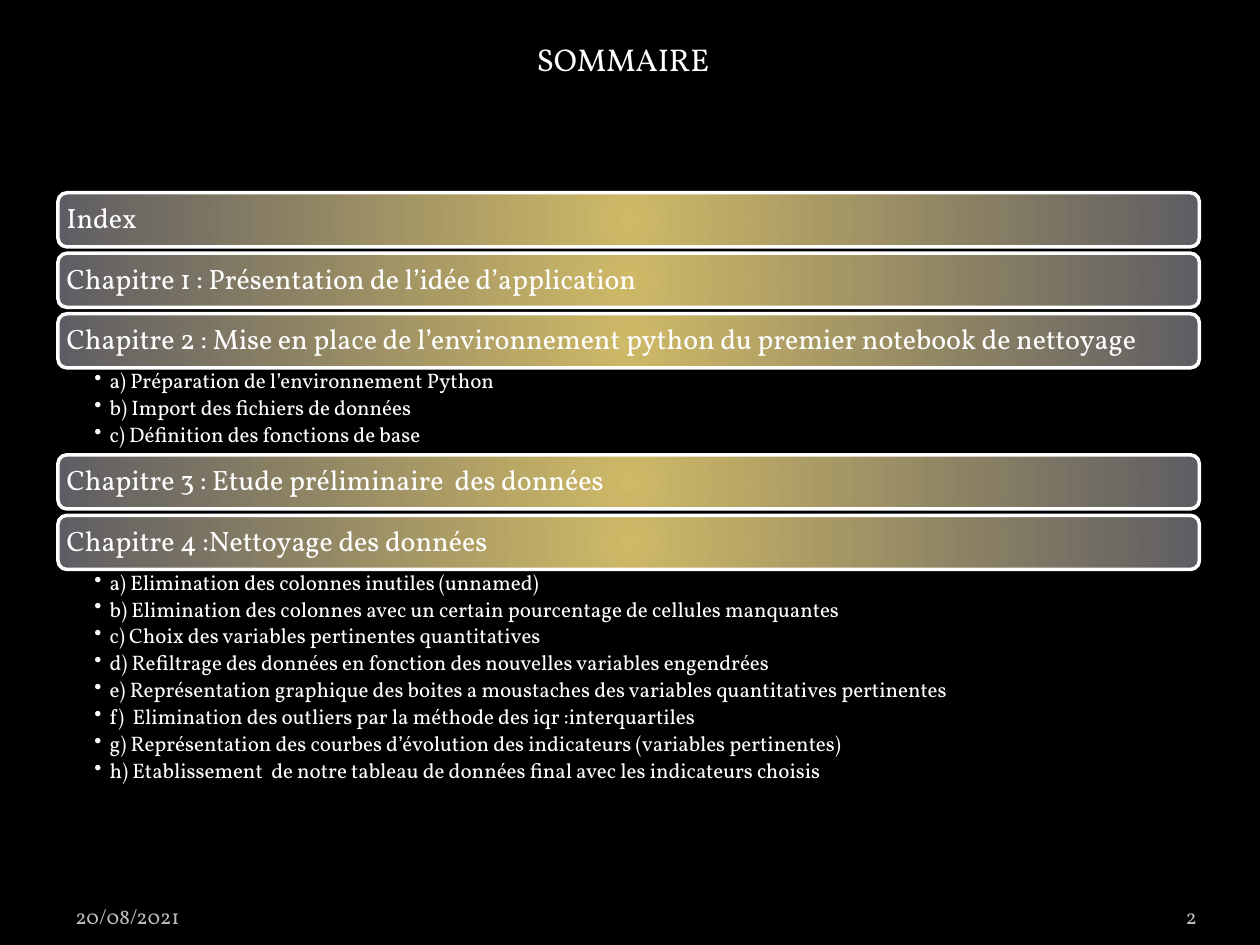
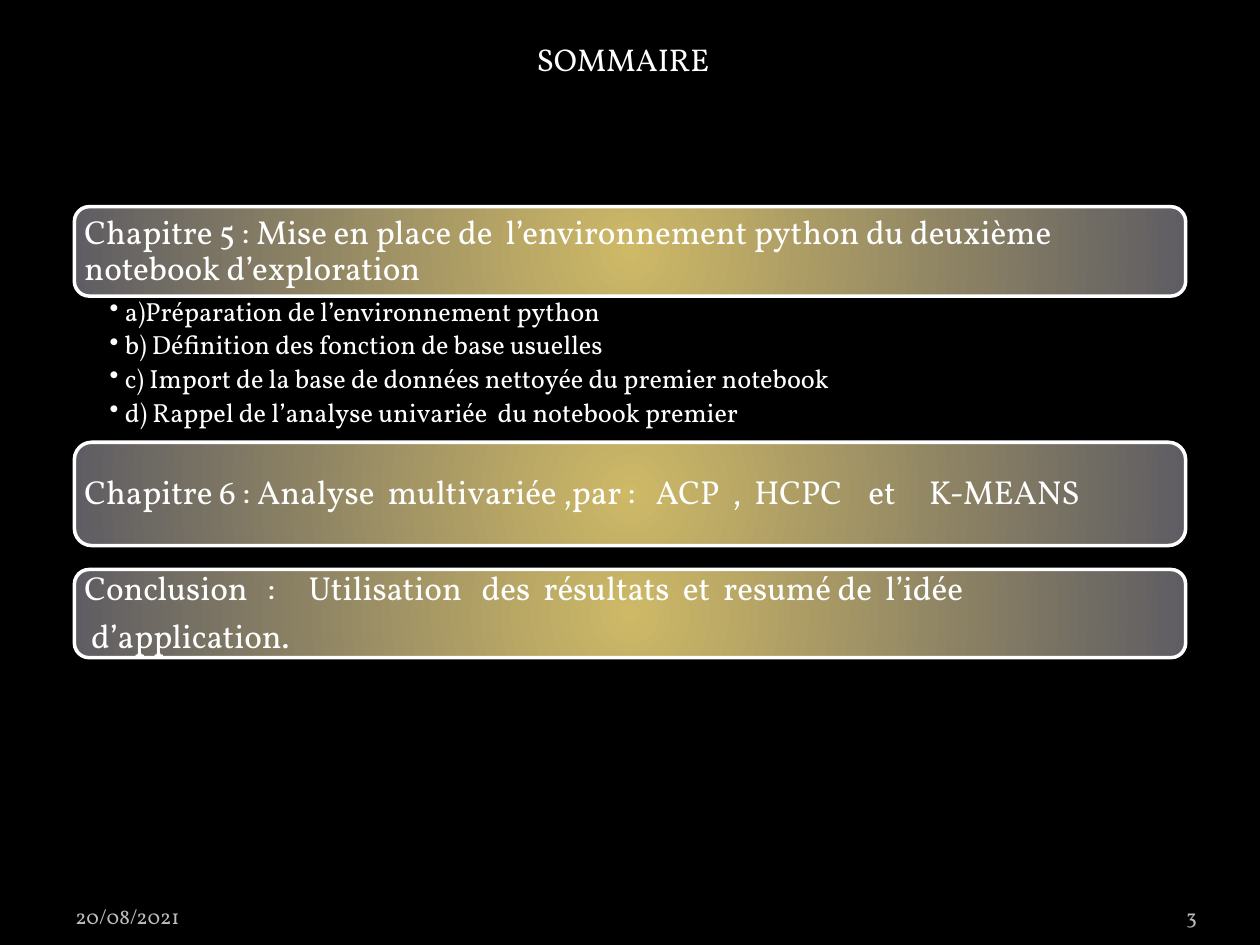
import pptx
import pptx.dml.color
import pptx.enum.dml
import pptx.enum.shapes
import pptx.enum.text
import pptx.oxml
import pptx.oxml.ns
import pptx.util

Inches = pptx.util.Inches
Pt = pptx.util.Pt
ANCHOR = pptx.enum.text.MSO_ANCHOR
ALIGN = pptx.enum.text.PP_ALIGN

FONT = "Vollkorn"
COLORS = {
    "background": "000000",
    "text": "FFFFFF",
    "footer": "BDBDBD",
    "bar_center": "CEB966",
    "bar_edge": "5F5D63",
}
CORNER = 0.1667  # corner radius of a bar, as a share of its height
DATE = "20/08/2021"

# Each entry is the text of a chapter bar and the list of its sections.
OUTLINES = [
    {
        "number": 2, "left": 0.46, "top": 1.53, "width": 9.06, "gap": 0.05,
        "bar_size": 16, "bar_margin": 0.07,
        "section_size": 12, "section_margin": 0.29, "section_pitch": 0.23,
        "chapters": [
            (0.43, "Index", []),
            (0.43, "Chapitre 1 : Présentation de l’idée d’application", []),
            (0.43, "Chapitre 2 : Mise en place de l’environnement python "
                   "du premier notebook de nettoyage", [
                "a) Préparation de l’environnement Python",
                "b) Import des fichiers de données",
                "c) Définition des fonctions de base",
            ]),
            (0.43, "Chapitre 3 : Etude préliminaire  des données", []),
            (0.43, "Chapitre 4 :Nettoyage des données", [
                "a) Elimination des colonnes inutiles (unnamed)",
                "b) Elimination des colonnes avec un certain pourcentage de cellules manquantes",
                "c) Choix des variables pertinentes quantitatives",
                "d) Refiltrage des données en fonction des nouvelles variables engendrées",
                "e) Représentation graphique des boites a moustaches des variables "
                "quantitatives pertinentes",
                "f)  Elimination des outliers par la méthode des iqr :interquartiles",
                "g) Représentation des courbes d’évolution des indicateurs (variables pertinentes)",
                "h) Etablissement  de notre tableau de données final avec les indicateurs choisis",
            ]),
        ],
    },
    {
        "number": 3, "left": 0.59, "top": 1.64, "width": 8.82, "gap": 0.19,
        "bar_size": 19, "bar_margin": 0.08,
        "section_size": 15, "section_margin": 0.28, "section_pitch": 0.29,
        "chapters": [
            (0.71, "Chapitre 5 : Mise en place de  l’environnement python "
                   "du deuxième notebook d’exploration", [
                "a)Préparation de l’environnement python",
                "b) Définition des fonction de base usuelles",
                "c) Import de la base de données nettoyée du premier notebook",
                "d) Rappel de l’analyse univariée  du notebook premier",
            ]),
            (0.82, "Chapitre 6 : Analyse  multivariée ,par :   ACP  ,  HCPC    et     K-MEANS", []),
            (0.7, "Conclusion   :     Utilisation   des  résultats  et  resumé de  l’idée\n"
                  " d’application.", []),
        ],
    },
]


def rgb(name):
    return pptx.dml.color.RGBColor.from_string(COLORS[name])


def xml(content):
    return pptx.oxml.parse_xml(content.replace("/>", f" {pptx.oxml.ns.nsdecls('a')}/>", 1)
                               if content.endswith("/>") and content.count("<") == 1
                               else content.replace(">", f" {pptx.oxml.ns.nsdecls('a')}>", 1))


class OutlineDeck:
    """Holds the shared style and the slide being filled."""

    def __init__(self):
        self.presentation = pptx.Presentation()
        self.presentation.slide_width = Inches(10)
        self.presentation.slide_height = Inches(7.5)
        fill = self.presentation.slide_master.background.fill
        fill.solid()
        fill.fore_color.rgb = rgb("background")
        self.slide = None

    def new_slide(self, number):
        self.slide = self.presentation.slides.add_slide(self.presentation.slide_layouts[6])
        self.footer(0.5, 2.33, DATE, ALIGN.LEFT, 0.1)
        self.footer(8.67, 0.83, str(number), ALIGN.RIGHT, 0)

    def text_box(self, left, top, width, height):
        box = self.slide.shapes.add_textbox(
            Inches(left), Inches(top), Inches(width), Inches(height))
        box.text_frame.word_wrap = True
        return box.text_frame

    def margins(self, frame, left, top, right, bottom):
        frame.margin_left, frame.margin_top = Inches(left), Inches(top)
        frame.margin_right, frame.margin_bottom = Inches(right), Inches(bottom)

    def style(self, paragraph, size, color="text", align=ALIGN.LEFT):
        paragraph.alignment = align
        for run in paragraph.runs:
            run.font.name = FONT
            run.font.size = Pt(size)
            run.font.color.rgb = rgb(color)

    def spacing(self, paragraph, after):
        paragraph.line_spacing = 0.9
        paragraph.space_after = Pt(after)

    def footer(self, left, width, text, align, margin):
        frame = self.text_box(left, 7.02, width, 0.4)
        self.margins(frame, margin, 0.05, margin, 0.05)
        frame.vertical_anchor = ANCHOR.BOTTOM
        frame.text = text
        self.style(frame.paragraphs[0], 12, "footer", align)

    def title(self, text):
        frame = self.text_box(4.16, 0.27, 1.61, 0.4)
        frame.word_wrap = False
        frame.auto_size = pptx.enum.text.MSO_AUTO_SIZE.SHAPE_TO_FIT_TEXT
        frame.text = text
        self.style(frame.paragraphs[0], 18)

    def radial_fill(self, shape):
        shape.fill.gradient()
        for stop, name in zip(shape.fill.gradient_stops, ("bar_center", "bar_edge")):
            stop.color.rgb = rgb(name)
        gradient = shape.element.spPr.find(pptx.oxml.ns.qn("a:gradFill"))
        linear = gradient.find(pptx.oxml.ns.qn("a:lin"))
        gradient.replace(linear, xml(
            '<a:path path="circle">'
            '<a:fillToRect l="50000" t="50000" r="50000" b="50000"/></a:path>'))

    def bar(self, left, top, width, height, text, size, margin):
        shape = self.slide.shapes.add_shape(
            pptx.enum.shapes.MSO_SHAPE.ROUNDED_RECTANGLE,
            Inches(left), Inches(top), Inches(width), Inches(height))
        shape.shadow.inherit = False
        shape.adjustments[0] = CORNER
        self.radial_fill(shape)
        shape.line.color.rgb = rgb("text")
        shape.line.width = Pt(2)
        frame = shape.text_frame
        frame.word_wrap = True
        # The rounded corners already push the text inwards.
        inset = margin - 0.29 * CORNER * height
        self.margins(frame, inset, inset, inset, inset)
        frame.vertical_anchor = ANCHOR.MIDDLE
        frame.text = text
        for paragraph in frame.paragraphs:
            self.style(paragraph, size)
            self.spacing(paragraph, 0.35 * size)

    def sections(self, left, top, width, height, texts, size, margin):
        frame = self.text_box(left, top, width, height)
        self.margins(frame, margin, 0.02, 0.12, 0.02)
        frame.text = "\n".join(texts)
        for paragraph in frame.paragraphs:
            properties = paragraph._p.get_or_add_pPr()
            properties.set("marL", str(Inches(0.12)))
            properties.set("indent", str(-Inches(0.12)))
            properties.append(xml('<a:buChar char="•"/>'))
            self.style(paragraph, size)
            self.spacing(paragraph, 0.2 * size)

    def outline(self, plan):
        """Stacks the chapter bars, each followed by its sections or by a gap."""
        left, top, width = plan["left"], plan["top"], plan["width"]
        for height, chapter, sections in plan["chapters"]:
            self.bar(left, top, width, height, chapter, plan["bar_size"], plan["bar_margin"])
            top += height
            if sections:
                block = len(sections) * plan["section_pitch"]
                self.sections(left, top, width, block, sections,
                              plan["section_size"], plan["section_margin"])
                top += block
            else:
                top += plan["gap"]


def main():
    deck = OutlineDeck()
    for plan in OUTLINES:
        deck.new_slide(plan["number"])
        deck.outline(plan)
        deck.title("SOMMAIRE")
    deck.presentation.save("out.pptx")


if __name__ == "__main__":
    main()
